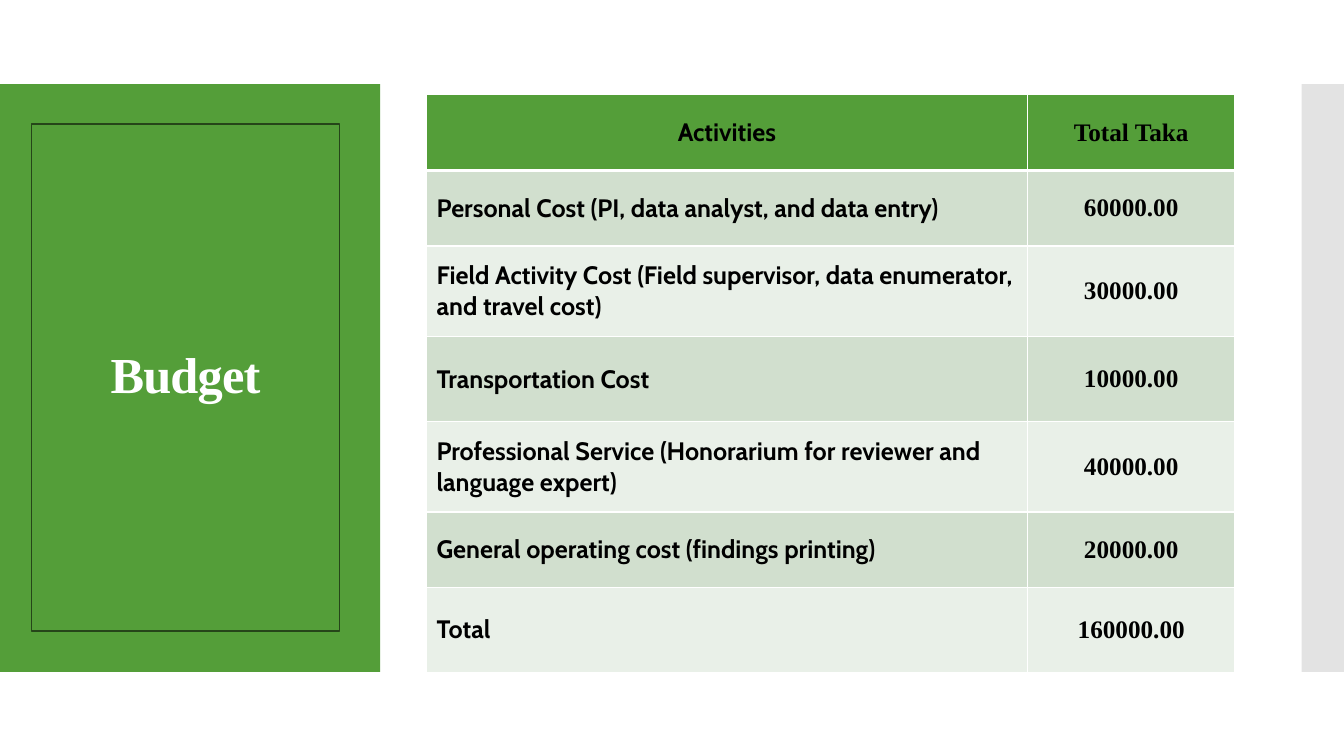
from lxml import etree
from pptx import Presentation
from pptx import util as u
from pptx.dml.color import RGBColor
from pptx.enum import shapes, text
from pptx.oxml import ns

TITLE = "Budget"
HEADER = ("Activities", "Total Taka")
COSTS = [
    ("Personal Cost (PI, data analyst, and data entry)", "60000.00"),
    ("Field Activity Cost (Field supervisor, data enumerator, and travel cost)", "30000.00"),
    ("Transportation Cost", "10000.00"),
    ("Professional Service (Honorarium for reviewer and language expert)", "40000.00"),
    ("General operating cost (findings printing)", "20000.00"),
    ("Total", "160000.00"),
]

GREEN = RGBColor(0x54, 0x9E, 0x39)
DARK_GREEN = RGBColor(0x25, 0x45, 0x19)
BAND_COLORS = (RGBColor(0xD1, 0xDF, 0xCE), RGBColor(0xE9, 0xF0, 0xE8))
GRAY = RGBColor(0xC8, 0xC8, 0xC8)
WHITE = RGBColor(0xFF, 0xFF, 0xFF)
BLACK = RGBColor(0, 0, 0)

SLIDE_WIDTH, SLIDE_HEIGHT = 13.33, 7.5
BAND_TOP, BAND_HEIGHT = SLIDE_HEIGHT / 9, SLIDE_HEIGHT * 7 / 9
LEFT_BAND_WIDTH, RIGHT_BAND_WIDTH = 3.77, 0.42
TITLE_BOX = (0.31, 1.23, 3.06, 5.03)
TABLE_LEFT, TABLE_TOP = 4.23, 0.94
COLUMN_WIDTHS = (5.96, 2.06)
COLUMN_FONTS = ("Cabin", "Times New Roman")
ROW_HEIGHTS = (0.75, 0.75, 0.9, 0.84, 0.9, 0.75, 0.84)


def inches(values):
    return [u.Inches(value) for value in values]


def set_font(font, **values):
    color = values.pop("color")
    for name, value in values.items():
        setattr(font, name, value)
    font.color.rgb = color


def add_band(slide, left, width, color):
    box = inches((left, BAND_TOP, width, BAND_HEIGHT))
    band = slide.shapes.add_shape(shapes.MSO_SHAPE.RECTANGLE, *box)
    band.shadow.inherit = False
    band.fill.solid()
    band.fill.fore_color.rgb = color
    band.line.fill.background()
    return band


def make_translucent(shape, percent):
    color = shape.element.spPr.find(".//" + ns.qn("a:srgbClr"))
    etree.SubElement(color, ns.qn("a:alpha"), val=str(percent * 1000))


def format_title(title):
    title.left, title.top, title.width, title.height = inches(TITLE_BOX)
    title.fill.solid()
    title.fill.fore_color.rgb = GREEN
    title.line.color.rgb = DARK_GREEN
    title.line.width = u.Pt(0.85)
    frame = title.text_frame
    frame.text = TITLE
    frame.word_wrap = True
    frame.vertical_anchor = text.MSO_ANCHOR.MIDDLE
    paragraph = frame.paragraphs[0]
    paragraph.alignment = text.PP_ALIGN.CENTER
    paragraph.line_spacing = 0.9
    run = paragraph.runs[0]
    set_font(run.font, name="Times New Roman", size=u.Pt(36), bold=True, color=WHITE)
    run.font._element.set("spc", "-60")


def set_borders(cell, widths):
    """Draw white borders; widths are points for left, right, top and bottom."""
    properties = cell._tc.get_or_add_tcPr()
    for index, (side, width) in enumerate(zip("LRTB", widths)):
        line = etree.Element(ns.qn(f"a:ln{side}"), w=str(u.Pt(width)))
        fill = etree.SubElement(line, ns.qn("a:solidFill"))
        etree.SubElement(fill, ns.qn("a:srgbClr"), val=str(WHITE))
        properties.insert(index, line)


def format_cell(cell, wording, row, column):
    is_header = row == 0
    cell.fill.solid()
    cell.fill.fore_color.rgb = GREEN if is_header else BAND_COLORS[(row - 1) % 2]
    set_borders(cell, (1, 1, 3 if row == 1 else 1, 3 if is_header else 1))
    cell.vertical_anchor = text.MSO_ANCHOR.MIDDLE
    cell.text = wording
    paragraph = cell.text_frame.paragraphs[0]
    centered = is_header or column == 1
    paragraph.alignment = text.PP_ALIGN.CENTER if centered else text.PP_ALIGN.LEFT
    set_font(paragraph.runs[0].font, name=COLUMN_FONTS[column], size=u.Pt(18),
             bold=True, color=BLACK)


def add_budget_table(slide):
    rows = [HEADER, *COSTS]
    box = inches((TABLE_LEFT, TABLE_TOP, sum(COLUMN_WIDTHS), sum(ROW_HEIGHTS)))
    table = slide.shapes.add_table(len(rows), len(HEADER), *box).table
    for column, width in zip(table.columns, COLUMN_WIDTHS):
        column.width = u.Inches(width)
    for row, height in zip(table.rows, ROW_HEIGHTS):
        row.height = u.Inches(height)
    for row, wordings in enumerate(rows):
        for column, wording in enumerate(wordings):
            format_cell(table.cell(row, column), wording, row, column)


def main():
    presentation = Presentation()
    presentation.slide_width, presentation.slide_height = inches((SLIDE_WIDTH, SLIDE_HEIGHT))
    slide = presentation.slides.add_slide(presentation.slide_layouts.get_by_name("Title Only"))
    add_band(slide, 0, LEFT_BAND_WIDTH, GREEN)
    right_band = add_band(slide, SLIDE_WIDTH - RIGHT_BAND_WIDTH, RIGHT_BAND_WIDTH, GRAY)
    make_translucent(right_band, 50)
    title = slide.shapes.title
    format_title(title)
    right_band.element.addnext(title.element)  # bring the title in front of the bands
    add_budget_table(slide)
    presentation.save("out.pptx")


if __name__ == "__main__":
    main()
